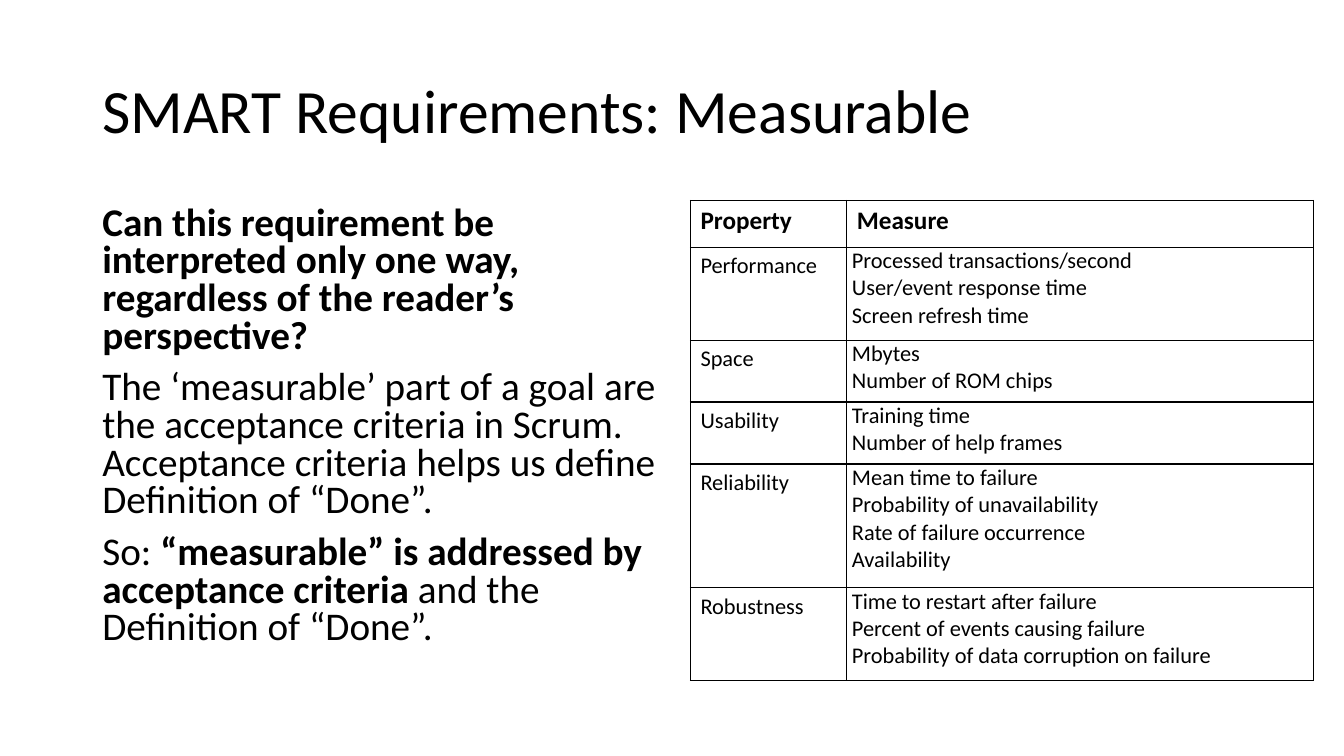
from dataclasses import dataclass

from lxml import etree
from pptx import Presentation
from pptx import util as u
from pptx.dml.color import RGBColor
from pptx.enum import text
from pptx.oxml import ns


@dataclass
class Theme:
    font: str = "Calibri"
    ink: RGBColor = RGBColor(0, 0, 0)
    title: int = 44
    body: int = 28
    head: int = 18
    cell: int = 16
    rule: int = 1


class Deck:
    def __init__(self, theme):
        self.theme = theme
        self.prs = Presentation()
        self.prs.slide_width, self.prs.slide_height = u.Cm(33.87), u.Cm(19.05)
        self.slide = self.prs.slides.add_slide(self.prs.slide_layouts[6])

    def fill_text(self, frame, paras, size, bold=False, lead=None, gap=None):
        """Fill a frame; a paragraph is a string or a list of (text, bold)."""
        for i, para in enumerate(paras):
            p = frame.paragraphs[0] if i == 0 else frame.add_paragraph()
            p.font.name, p.font.size = self.theme.font, u.Pt(size)
            p.font.color.rgb = self.theme.ink
            if lead:
                p.line_spacing = lead
            if gap:
                p.space_before = u.Pt(gap)
            if isinstance(para, str):
                p.font.bold = bold
                p.add_run().text = para
                continue
            for words, heavy in para:
                run = p.add_run()
                run.text, run.font.bold = words, heavy

    def text(self, box, paras, size, anchor, lead, gap=None):
        frame = self.slide.shapes.add_textbox(*map(u.Cm, box)).text_frame
        frame.word_wrap = True
        frame.vertical_anchor = anchor
        self.fill_text(frame, paras, size, lead=lead, gap=gap)

    def border(self, cell):
        props = cell._tc.get_or_add_tcPr()
        for i, side in enumerate(("lnL", "lnR", "lnT", "lnB")):
            line = etree.Element(ns.qn("a:" + side), w=str(u.Pt(self.theme.rule)))
            fill = etree.SubElement(line, ns.qn("a:solidFill"))
            etree.SubElement(fill, ns.qn("a:srgbClr"), val=str(self.theme.ink))
            props.insert(i, line)

    def table(self, left, top, widths, head, rows, head_high, line_high):
        highs = [head_high] + [line_high * len(items) for _, items in rows]
        box = (left, top, sum(widths), sum(highs))
        grid = self.slide.shapes.add_table(
            len(highs), len(widths), *map(u.Cm, box)).table
        for col, wide in zip(grid.columns, widths):
            col.width = u.Cm(wide)
        for row, high in zip(grid.rows, highs):
            row.height = u.Cm(high)

        # Header row
        for c, name in enumerate(head):
            self.fill_text(grid.cell(0, c).text_frame, [name],
                           self.theme.head, True)

        # Property and its measures
        for r, (name, items) in enumerate(rows, 1):
            self.fill_text(grid.cell(r, 0).text_frame, [name], self.theme.cell)
            cell = grid.cell(r, 1)
            cell.margin_left = cell.margin_right = u.Cm(0.13)
            cell.margin_top = cell.margin_bottom = 0
            self.fill_text(cell.text_frame, items, self.theme.cell)

        for cell in grid.iter_cells():
            cell.fill.background()
            self.border(cell)


GOAL = [
    [("Can this requirement be interpreted only one way, regardless of the "
      "reader’s perspective?", True)],
    "The ‘measurable’ part of a goal are the acceptance criteria in Scrum. "
    "Acceptance criteria helps us define Definition of “Done”.",
    [("So: ", False),
     ("“measurable” is addressed by acceptance criteria ", True),
     ("and the Definition of “Done”.", False)],
]

ROWS = [
    ("Performance", ["Processed transactions/second",
                     "User/event response time", "Screen refresh time"]),
    ("Space", ["Mbytes", "Number of ROM chips"]),
    ("Usability", ["Training time", "Number of help frames"]),
    ("Reliability", ["Mean time to failure", "Probability of unavailability",
                     "Rate of failure occurrence", "Availability"]),
    ("Robustness", ["Time to restart after failure",
                    "Percent of events causing failure",
                    "Probability of data corruption on failure"]),
]


def main():
    theme = Theme()
    deck = Deck(theme)
    # Title
    deck.text((2.33, 1.01, 29.21, 3.68), ["SMART Requirements: Measurable"],
              theme.title, text.MSO_ANCHOR.MIDDLE, 0.9)
    # Explanation
    deck.text((2.33, 5.07, 14.61, 12.09), GOAL,
              theme.body, text.MSO_ANCHOR.TOP, 0.8, 10)
    # Measures
    deck.table(17.4, 5.05, (3.94, 11.76), ("Property", "Measure"), ROWS,
               1.18, 0.78)
    deck.prs.save("out.pptx")


if __name__ == "__main__":
    main()
